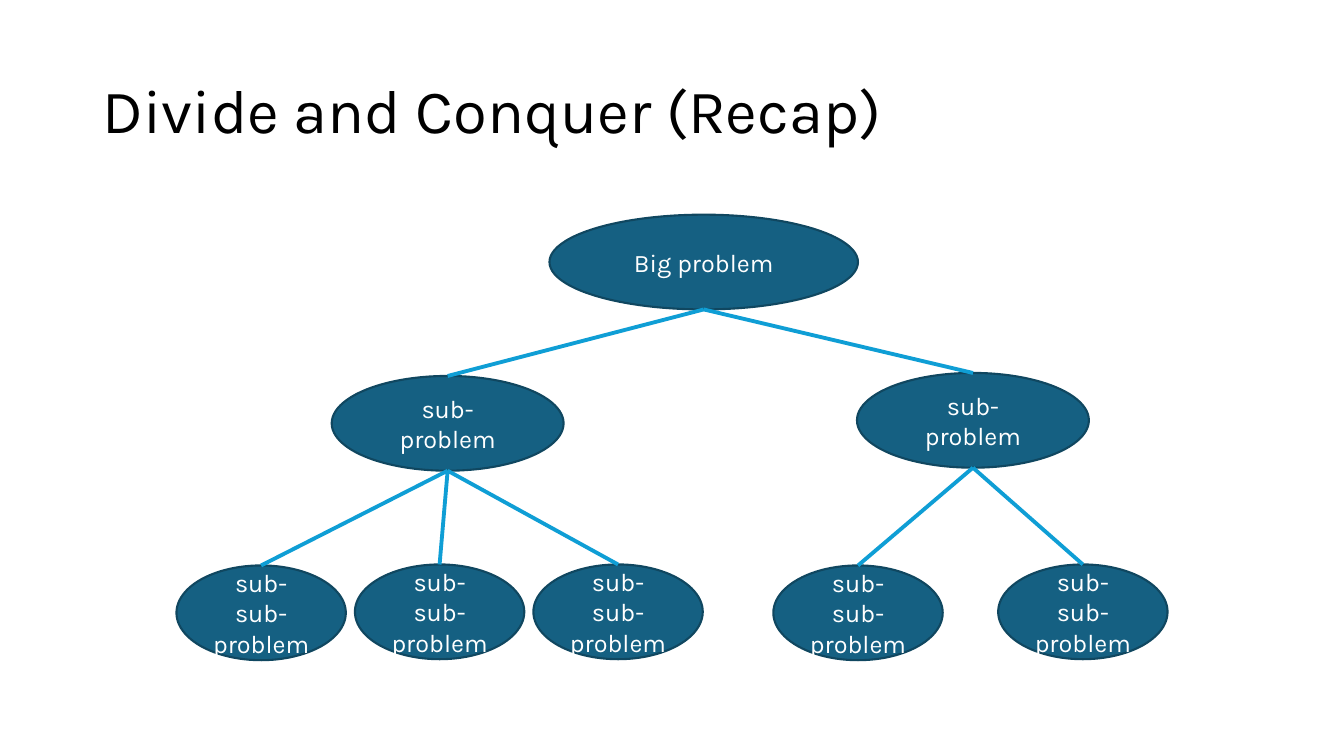
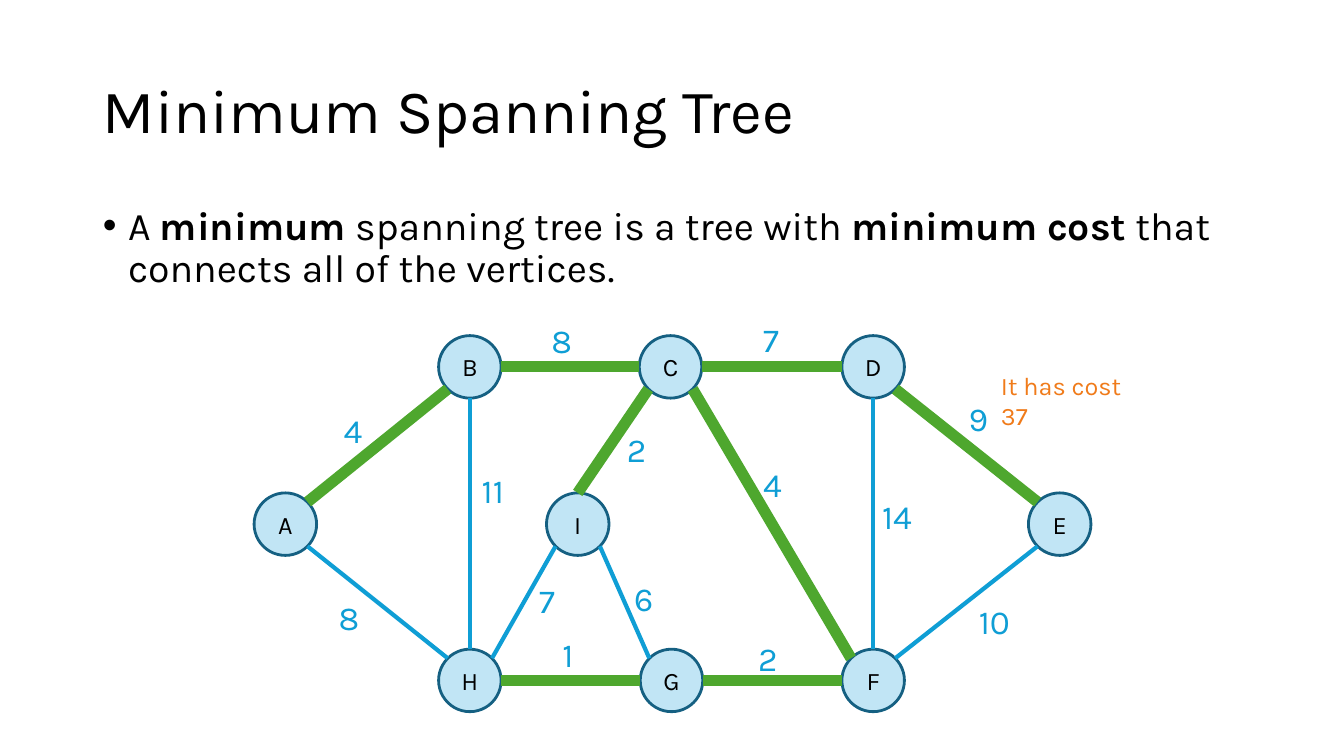
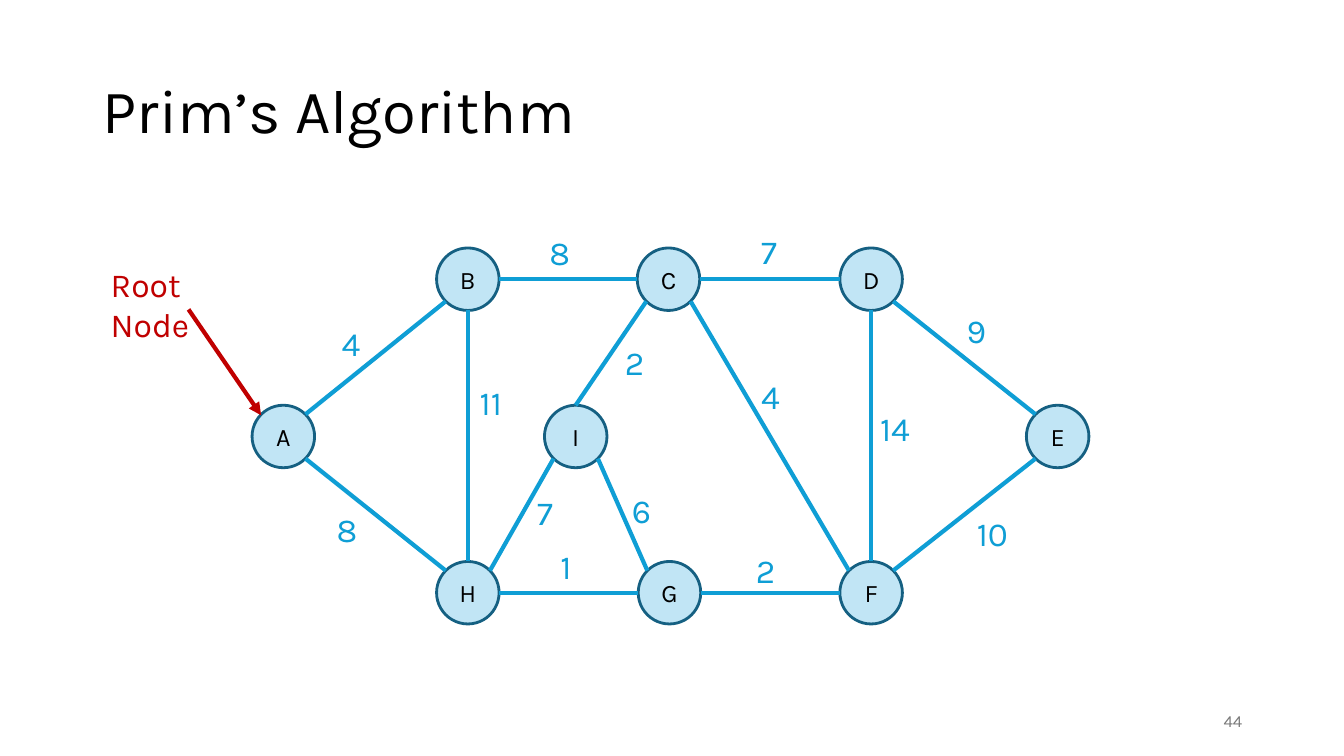
from lxml.etree import SubElement
from pptx import Presentation
from pptx.dml.color import RGBColor
from pptx.enum.shapes import MSO_CONNECTOR, MSO_SHAPE
from pptx.enum.text import MSO_ANCHOR, MSO_AUTO_SIZE, PP_ALIGN
from pptx.oxml.ns import qn
from pptx.util import Pt

PX = 9144  # 100 px to the inch
FONT = "Karla"
BLACK = RGBColor(0x00, 0x00, 0x00)
WHITE = RGBColor(0xFF, 0xFF, 0xFF)
GRAY = RGBColor(0x79, 0x79, 0x79)
TEAL = RGBColor(0x15, 0x60, 0x82)
DARK_TEAL = RGBColor(0x10, 0x47, 0x60)
PALE_BLUE = RGBColor(0xC1, 0xE5, 0xF5)
BLUE = RGBColor(0x0F, 0x9E, 0xD5)
GREEN = RGBColor(0x4E, 0xA7, 0x2E)
ORANGE = RGBColor(0xF0, 0x7B, 0x1A)
RED = RGBColor(0xC0, 0x00, 0x00)


def write(box, *spans, size=18, color=BLACK, align=PP_ALIGN.LEFT,
          anchor=MSO_ANCHOR.TOP, spacing=None, before=0):
    """Fill a shape with one paragraph; every second span is bold."""
    frame = box.text_frame
    frame.word_wrap = True
    frame.auto_size = MSO_AUTO_SIZE.NONE
    frame.vertical_anchor = anchor
    para = frame.paragraphs[0]
    para.alignment = align
    para.space_before = Pt(before)
    if spacing:
        para.line_spacing = spacing
    for index, text in enumerate(spans):
        span = para.add_run()
        span.text = text
        span.font.name = FONT
        span.font.size = Pt(size)
        span.font.bold = index % 2 == 1
        span.font.color.rgb = color
    return para


def place(box, left, top, width, height):
    box.left, box.top = left * PX, top * PX
    box.width, box.height = width * PX, height * PX


deck = Presentation()
deck.slide_width, deck.slide_height = 1333 * PX, 750 * PX
TITLE_AND_BODY, TITLE_ONLY = deck.slide_layouts[1], deck.slide_layouts[5]

pages = []
for title, layout in [
    ("Divide and Conquer (Recap)", TITLE_ONLY),
    ("Minimum Spanning Tree", TITLE_AND_BODY),
    ("Prim’s Algorithm", TITLE_ONLY),
]:
    page = deck.slides.add_slide(layout)
    place(page.shapes.title, 92, 40, 1150, 145)
    write(page.shapes.title, title, size=44, anchor=MSO_ANCHOR.MIDDLE, spacing=0.9)
    pages.append(page)
recap_page, spanning_page, prim_page = pages

body = spanning_page.placeholders[1]
place(body, 92, 200, 1150, 476)
definition = write(body, "A ", "minimum", " spanning tree is a tree with ",
                   "minimum cost", " that connects all of the vertices.",
                   size=28, spacing=0.9, before=10)
bullet_format = definition._p.get_or_add_pPr()
bullet_format.set("marL", str(25 * PX))
bullet_format.set("indent", str(-25 * PX))

ovals = []   # page, box, text, text color, fill, outline, outline width
lines = []   # page, start, end, color, width, has arrowhead
labels = []  # page, box, text, format

# Problem tree: centre x, top, width, text, parent
OVAL_HEIGHT = 94
problems = [
    (698, 213, 306, "Big problem", None),
    (444, 373, 230, "sub-problem", 0),
    (965, 370, 230, "sub-problem", 0),
    (259, 561, 168, "sub-sub-problem", 1),
    (436, 560, 168, "sub-sub-problem", 1),
    (613, 560, 168, "sub-sub-problem", 1),
    (851, 561, 168, "sub-sub-problem", 2),
    (1074, 560, 168, "sub-sub-problem", 2),
]
for center, top, width, text, parent in problems:
    ovals.append((recap_page, (center - width // 2, top, width, OVAL_HEIGHT),
                  text, WHITE, TEAL, DARK_TEAL, 1.5))
    if parent is not None:
        parent_x, parent_top = problems[parent][:2]
        lines.append((recap_page, (parent_x, parent_top + OVAL_HEIGHT),
                      (center, top), BLUE, 2.75, False))

# Weighted graph, drawn plain and with its spanning tree
RADIUS, DIAGONAL = 31, 22
SITES = {
    "N": (0, -RADIUS), "S": (0, RADIUS), "W": (-RADIUS, 0), "E": (RADIUS, 0),
    "NW": (-DIAGONAL, -DIAGONAL), "NE": (DIAGONAL, -DIAGONAL),
    "SW": (-DIAGONAL, DIAGONAL), "SE": (DIAGONAL, DIAGONAL),
}
UPPER, MIDDLE, LOWER = 364, 520, 675
vertices = {
    "A": (283, MIDDLE), "B": (466, UPPER), "C": (665, UPPER),
    "D": (866, UPPER), "E": (1051, MIDDLE), "F": (866, LOWER),
    "G": (666, LOWER), "H": (466, LOWER), "I": (573, MIDDLE),
}
# vertex and site at each end, weight, label corner, in the spanning tree
edges = [
    ("A", "NE", "B", "SW", "4", (331, 402), True),
    ("A", "SE", "H", "NW", "8", (326, 587), False),
    ("B", "E", "C", "W", "8", (537, 312), True),
    ("B", "S", "H", "N", "11", (468, 461), False),
    ("C", "E", "D", "W", "7", (747, 311), True),
    ("C", "SW", "I", "N", "2", (612, 421), True),
    ("C", "SE", "F", "NW", "4", (747, 455), True),
    ("D", "SE", "E", "NW", "9", (951, 390), True),
    ("D", "S", "F", "N", "14", (865, 487), False),
    ("E", "SW", "F", "NE", "10", (961, 591), False),
    ("G", "E", "F", "W", "2", (742, 628), True),
    ("H", "E", "G", "W", "1", (548, 624), True),
    ("I", "SW", "H", "NE", "7", (525, 570), False),
    ("I", "SE", "G", "NW", "6", (619, 568), False),
]
for page, shift_x, shift_y, marks_tree in [
    (spanning_page, 0, 0, True), (prim_page, -2, -87, False),
]:
    for name, (x, y) in vertices.items():
        ovals.append((page, (x - RADIUS + shift_x, y - RADIUS + shift_y,
                             2 * RADIUS, 2 * RADIUS),
                      name, BLACK, PALE_BLUE, TEAL, 2))
    for first, first_site, second, second_site, weight, corner, in_tree in edges:
        start, end = [
            (vertices[name][0] + SITES[site][0] + shift_x,
             vertices[name][1] + SITES[site][1] + shift_y)
            for name, site in ((first, first_site), (second, second_site))
        ]
        color, width = (GREEN, 8) if marks_tree and in_tree else (BLUE, 3)
        lines.append((page, start, end, color, width, False))
        labels.append((page, (corner[0] + shift_x, corner[1] + shift_y, 86, 50),
                       weight, dict(size=24, color=BLUE)))

lines.append((prim_page, (187, 307), (259, 412), RED, 3, True))
labels += [
    (spanning_page, (983, 362, 167, 40), "It has cost 37", dict(color=ORANGE)),
    (prim_page, (100, 257, 150, 50), "Root Node", dict(size=24, color=RED)),
    (prim_page, (942, 695, 300, 40), "44",
     dict(size=12, color=GRAY, align=PP_ALIGN.RIGHT, anchor=MSO_ANCHOR.MIDDLE)),
]

for page, area, text, text_color, fill, outline, width in ovals:
    oval = page.shapes.add_shape(MSO_SHAPE.OVAL, *[value * PX for value in area])
    oval.shadow.inherit = False
    oval.fill.solid()
    oval.fill.fore_color.rgb = fill
    oval.line.color.rgb = outline
    oval.line.width = Pt(width)
    write(oval, text, color=text_color, align=PP_ALIGN.CENTER,
          anchor=MSO_ANCHOR.MIDDLE)

for page, start, end, color, width, has_arrowhead in lines:
    line = page.shapes.add_connector(
        MSO_CONNECTOR.STRAIGHT, *[value * PX for value in start + end])
    line.line.color.rgb = color
    line.line.width = Pt(width)
    if has_arrowhead:
        SubElement(line.line._get_or_add_ln(), qn("a:tailEnd"), type="triangle")
    SubElement(line._element.spPr, qn("a:effectLst"))

for page, area, text, text_format in labels:
    box = page.shapes.add_textbox(*[value * PX for value in area])
    write(box, text, **text_format)

deck.save("out.pptx")
